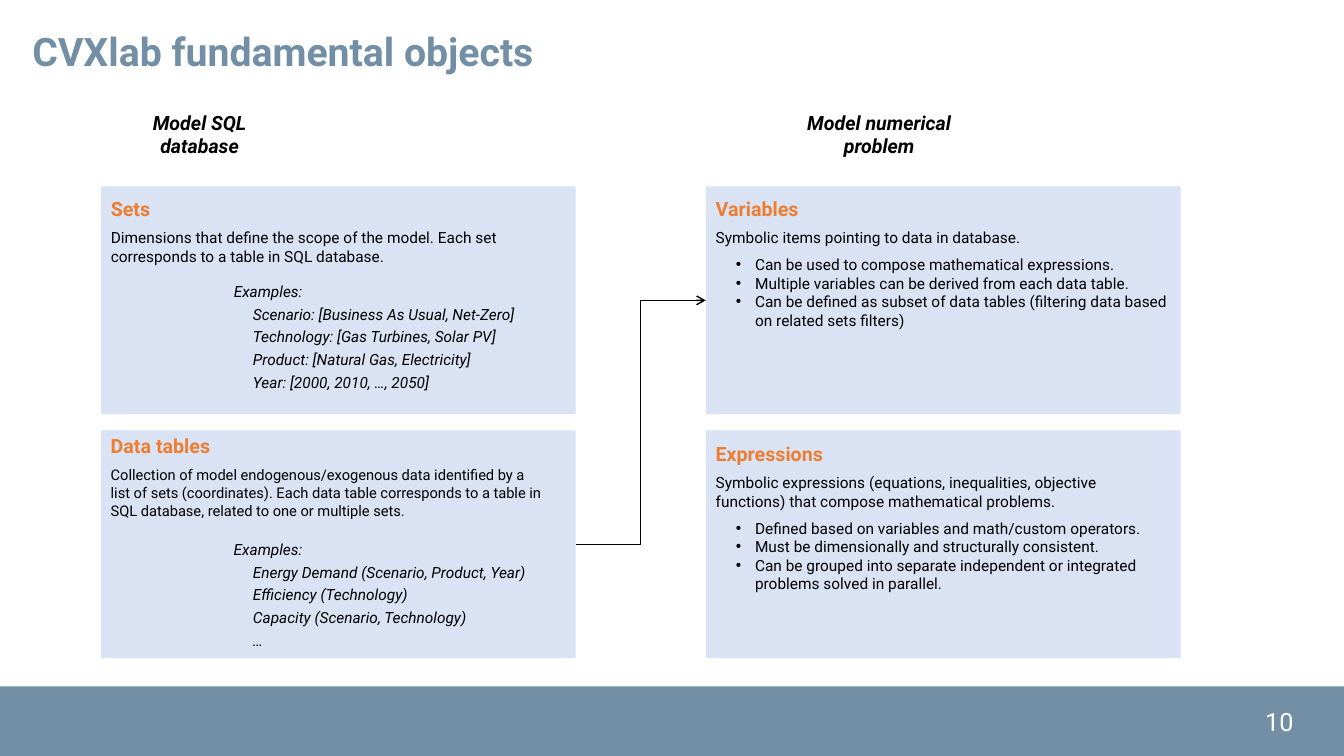
from lxml.etree import SubElement
from pptx import Presentation
from pptx.dml.color import RGBColor
from pptx.enum.shapes import MSO_CONNECTOR, MSO_SHAPE
from pptx.enum.text import MSO_ANCHOR, MSO_AUTO_SIZE, PP_ALIGN
from pptx.oxml.ns import qn
from pptx.util import Inches, Pt

COLORS = {
    "slate": "728FA5",
    "panel": "DAE3F3",
    "accent": "ED7D31",
    "ink": "000000",
    "white": "FFFFFF",
}
LEFT, RIGHT = 1, 7
TOP, BOTTOM = 1.85, 4.27
PANEL_WIDTH, PANEL_HEIGHT = 4.71, 2.26


class SlideBuilder:
    font = "Roboto"

    def __init__(self, presentation):
        self.slide = presentation.slides.add_slide(presentation.slide_layouts[5])

    def color(self, name):
        return RGBColor.from_string(COLORS[name])

    def place(self, box, left, top, width, height):
        box.left, box.top = Inches(left), Inches(top)
        box.width, box.height = Inches(width), Inches(height)

    def panel(self, left, top, width, height, fill):
        panel = self.slide.shapes.add_shape(
            MSO_SHAPE.RECTANGLE, Inches(left), Inches(top), Inches(width), Inches(height))
        panel.shadow.inherit = False
        panel.fill.solid()
        panel.fill.fore_color.rgb = self.color(fill)
        panel.line.fill.background()
        return panel

    def paragraph(self, frame, text, size, color="ink", bold=False, italic=False,
                  before=0, after=0, align=PP_ALIGN.LEFT, indent=0, bullet=False):
        first = not frame.paragraphs[0].runs
        paragraph = frame.paragraphs[0] if first else frame.add_paragraph()
        properties = paragraph._p.get_or_add_pPr()
        if indent:
            properties.set("marL", str(Inches(indent)))
        if bullet:
            properties.set("indent", str(Inches(-0.19)))
            SubElement(properties, qn("a:buFont"), typeface="Arial")
            SubElement(properties, qn("a:buChar"), char="•")
        paragraph.alignment = align
        paragraph.space_before = Pt(0 if first else before)
        paragraph.space_after = Pt(after)
        run = paragraph.add_run()
        run.text = text
        run.font.name = self.font
        run.font.size = Pt(size)
        run.font.bold = bold
        run.font.italic = italic
        run.font.color.rgb = self.color(color)

    def title(self, text, left, top, width, height):
        title = self.slide.shapes.title
        self.place(title, left, top, width, height)
        title.text_frame.vertical_anchor = MSO_ANCHOR.TOP
        title.text_frame.auto_size = MSO_AUTO_SIZE.NONE
        self.paragraph(title.text_frame, text, 28, "slate", bold=True)

    def text_box(self, left, top, width, height):
        box = self.slide.shapes.add_textbox(
            Inches(left), Inches(top), Inches(width), Inches(height))
        box.text_frame.word_wrap = True
        box.text_frame.auto_size = MSO_AUTO_SIZE.SHAPE_TO_FIT_TEXT
        return box.text_frame

    def label(self, text, left, top, width, height, size, **style):
        self.paragraph(self.text_box(left, top, width, height), text, size, **style)

    def description(self, heading, summary, left, top, width, height, size=11, points=()):
        frame = self.text_box(left, top, width, height)
        self.paragraph(frame, heading, 14, "accent", bold=True)
        self.paragraph(frame, summary, size, before=6, after=6 if points else 0)
        for point in points:
            self.paragraph(frame, point, 11, indent=0.39, bullet=True)

    def examples(self, items, left, top, width, height):
        frame = self.text_box(left, top, width, height)
        self.paragraph(frame, "Examples:", 11, italic=True)
        for item in items:
            self.paragraph(frame, item, 11, italic=True, before=3, indent=0.19)

    def elbow_arrow(self, source, target):
        arrow = self.slide.shapes.add_connector(
            MSO_CONNECTOR.ELBOW,
            source.left + source.width, source.top + source.height // 2,
            target.left, target.top + target.height // 2)
        arrow.begin_connect(source, 3)
        arrow.end_connect(target, 1)
        arrow.line.color.rgb = self.color("ink")
        arrow.line.width = Pt(1)
        properties = arrow._element.spPr
        SubElement(properties.find(qn("a:ln")), qn("a:tailEnd"), type="arrow")
        SubElement(properties, qn("a:effectLst"))


def main():
    presentation = Presentation()
    presentation.slide_width, presentation.slide_height = Inches(13.33), Inches(7.5)
    builder = SlideBuilder(presentation)

    builder.panel(0, 6.81, 13.33, 0.69, "slate")
    builder.label("10", 12.45, 6.96, 0.65, 0.4, 18, color="white")
    builder.title("CVXlab fundamental objects", 0.22, 0.22, 9.71, 0.57)

    panels = {
        (left, top): builder.panel(left, top, PANEL_WIDTH, PANEL_HEIGHT, "panel")
        for left in (LEFT, RIGHT) for top in (TOP, BOTTOM)
    }

    for heading, left, width in (("Model SQL database", 1.2, 1.56),
                                 ("Model numerical problem", 7.85, 1.74)):
        builder.label(heading, left, 1.05, width, 0.57, 14,
                      bold=True, italic=True, align=PP_ALIGN.CENTER)

    builder.description(
        "Sets",
        "Dimensions that define the scope of the model. "
        "Each set corresponds to a table in SQL database.",
        LEFT, 1.9, PANEL_WIDTH, 0.79)
    builder.examples(
        ("Scenario: [Business As Usual, Net-Zero]",
         "Technology: [Gas Turbines, Solar PV]",
         "Product: [Natural Gas, Electricity]",
         "Year: [2000, 2010, …, 2050]"),
        2.22, 2.75, 3.49, 1.19)

    builder.description(
        "Data tables",
        "Collection of model endogenous/exogenous data identified by a list of sets "
        "(coordinates). Each data table corresponds to a table in SQL database, "
        "related to one or multiple sets.",
        LEFT, 4.26, 4.53, 0.95, size=10.5)
    builder.examples(
        ("Energy Demand (Scenario, Product, Year)",
         "Efficiency (Technology)",
         "Capacity (Scenario, Technology)",
         "…"),
        2.22, 5.31, 3.44, 1.19)

    builder.description(
        "Variables",
        "Symbolic items pointing to data in database.",
        RIGHT, 1.9, PANEL_WIDTH, 1.43,
        points=("Can be used to compose mathematical expressions.",
                "Multiple variables can be derived from each data table.",
                "Can be defined as subset of data tables "
                "(filtering data based on related sets filters)"))

    builder.description(
        "Expressions",
        "Symbolic expressions (equations, inequalities, objective functions) "
        "that compose mathematical problems.",
        RIGHT, 4.33, 4.67, 1.62,
        points=("Defined based on variables and math/custom operators.",
                "Must be dimensionally and structurally consistent.",
                "Can be grouped into separate independent or integrated "
                "problems solved in parallel."))

    builder.elbow_arrow(panels[LEFT, BOTTOM], panels[RIGHT, TOP])
    presentation.save("out.pptx")


if __name__ == "__main__":
    main()
